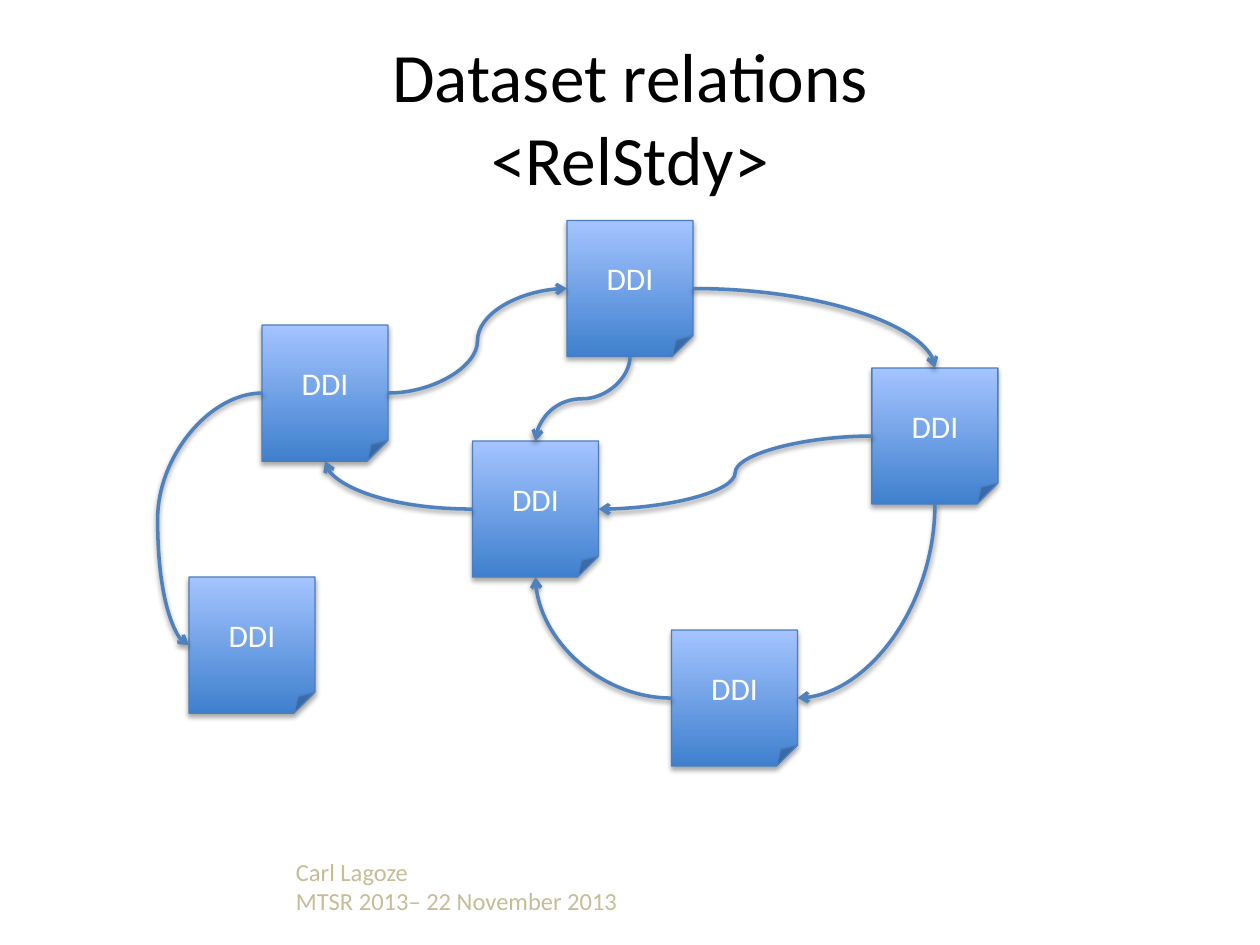
import copy
import math
import pptx
import pptx.dml.color
import pptx.enum.shapes
import pptx.enum.text
import pptx.oxml.ns
import pptx.util
from lxml import etree

Inches = pptx.util.Inches
Pt = pptx.util.Pt
qn = pptx.oxml.ns.qn
ALIGN = pptx.enum.text.PP_ALIGN
MIDDLE = pptx.enum.text.MSO_ANCHOR.MIDDLE
TOP, LEFT, BOTTOM, RIGHT = range(4)  # connection sites of a page shape


def color(code):
    return pptx.dml.color.RGBColor.from_string(code)


def write(frame, text, size=18, ink="000000", font="Calibri",
          align=ALIGN.LEFT, anchor=None, wrap=True):
    """Fill a frame; \\n starts a paragraph and \\v breaks a line."""
    frame.word_wrap = wrap
    if anchor is not None:
        frame.vertical_anchor = anchor
    frame.text = text
    for para in frame.paragraphs:
        para.alignment = align
        for run in para.runs:
            run.font.size = Pt(size)
            run.font.name = font
            run.font.color.rgb = color(ink)
        # Line breaks take the format of the text around them
        for gap in para._p.findall(qn("a:br")):
            gap.insert(0, copy.deepcopy(para.runs[0]._r.rPr))


def shade(shape, alpha, blur, dist):
    """Cast a soft black shadow straight down."""
    effect = etree.SubElement(shape._element.spPr, qn("a:effectLst"))
    outer = etree.SubElement(effect, qn("a:outerShdw"), blurRad=str(Pt(blur)),
                             dist=str(Pt(dist)), dir="5400000",
                             rotWithShape="0")
    black = etree.SubElement(outer, qn("a:srgbClr"), val="000000")
    etree.SubElement(black, qn("a:alpha"), val=str(alpha * 1000))


class Deck:
    low, high = "3F80CE", "A4C4FF"
    edge, wire = "4B7EBC", "4F81BD"
    wide, tall = 1, 1.08

    def __init__(self):
        self.show = pptx.Presentation()
        self.show.slide_width = Inches(10)
        self.show.slide_height = Inches(7.5)
        self.slide = self.show.slides.add_slide(self.show.slide_layouts[5])
        self.shapes = self.slide.shapes

    def title(self, text, x, y, w, h):
        box = self.shapes.title
        box.left, box.top = Inches(x), Inches(y)
        box.width, box.height = Inches(w), Inches(h)
        write(box.text_frame, text, size=39.6, align=ALIGN.CENTER,
              anchor=MIDDLE)
        box.text_frame.auto_size = pptx.enum.text.MSO_AUTO_SIZE.NONE

    def note(self, text, x, y, w, h):
        box = self.shapes.add_textbox(Inches(x), Inches(y),
                                      Inches(w), Inches(h))
        write(box.text_frame, text, size=14, ink="C4BD97", wrap=False)

    def page(self, text, x, y):
        kind = pptx.enum.shapes.MSO_SHAPE.FOLDED_CORNER
        page = self.shapes.add_shape(kind, Inches(x), Inches(y),
                                     Inches(self.wide), Inches(self.tall))
        page.fill.gradient()
        page.fill.gradient_angle = 90
        for stop, code in zip(page.fill.gradient_stops, (self.low, self.high)):
            stop.color.rgb = color(code)
        page.line.color.rgb = color(self.edge)
        page.line.width = Pt(0.75)
        shade(page, 35, 3.1, 1.8)
        write(page.text_frame, text, ink="FFFFFF", align=ALIGN.CENTER,
              anchor=MIDDLE)
        return page

    def link(self, start, out, end, into, bend=None):
        """Draw a curved arrow from one side of a page to another's."""
        kind = pptx.enum.shapes.MSO_CONNECTOR.CURVE
        link = self.shapes.add_connector(kind, 0, 0, 0, 0)
        link.begin_connect(start, out)
        link.end_connect(end, into)
        x, y = link.begin_x, link.begin_y
        dx, dy = link.end_x - x, link.end_y - y

        # Turn the curve so that it leaves through the chosen side
        turn = (RIGHT - out) * 90
        cos = round(math.cos(math.radians(turn)))
        sin = round(math.sin(math.radians(turn)))
        along, across = dx * cos + dy * sin, dy * cos - dx * sin
        link.width, link.height = abs(along), abs(across)
        link.left = x + (dx - link.width) // 2
        link.top = y + (dy - link.height) // 2
        frame = link._element.spPr.xfrm
        frame.set("rot", str(turn * 60000))
        frame.set("flipH", str(int(along < 0)))
        frame.set("flipV", str(int(across < 0)))

        # Sides at a right angle need a single bend
        shape = link._element.spPr.find(qn("a:prstGeom"))
        if (out - into) % 2:
            shape.set("prst", "curvedConnector2")
        if bend:
            guides = shape.find(qn("a:avLst"))
            etree.SubElement(guides, qn("a:gd"), name="adj1",
                             fmla=f"val {round(bend * 100000)}")

        link.line.color.rgb = color(self.wire)
        link.line.width = Pt(2)
        etree.SubElement(link.line._get_or_add_ln(), qn("a:tailEnd"),
                         type="arrow")
        shade(link, 38, 3.1, 1.6)


def main():
    deck = Deck()

    # Footer and title
    deck.note("Carl Lagoze\nMTSR 2013– 22 November 2013",
              2.25, 6.75, 2.78, 0.57)
    deck.title("Dataset relations\v<RelStdy>", 0.5, 0.3, 9, 1.25)

    # Datasets
    spots = [(2.08, 2.58), (3.75, 3.5), (4.5, 1.75),
             (1.5, 4.58), (5.33, 5), (6.92, 2.92)]
    west, hub, north, tail, south, east = [
        deck.page("DDI", x, y) for x, y in spots]

    # Relations
    deck.link(north, RIGHT, east, TOP)
    deck.link(east, LEFT, hub, RIGHT)
    deck.link(east, BOTTOM, south, RIGHT)
    deck.link(south, LEFT, hub, BOTTOM)
    deck.link(north, BOTTOM, hub, TOP)
    deck.link(west, RIGHT, north, LEFT)
    deck.link(hub, LEFT, west, BOTTOM)
    deck.link(west, LEFT, tail, LEFT, bend=1.43)

    deck.show.save("out.pptx")


if __name__ == "__main__":
    main()
